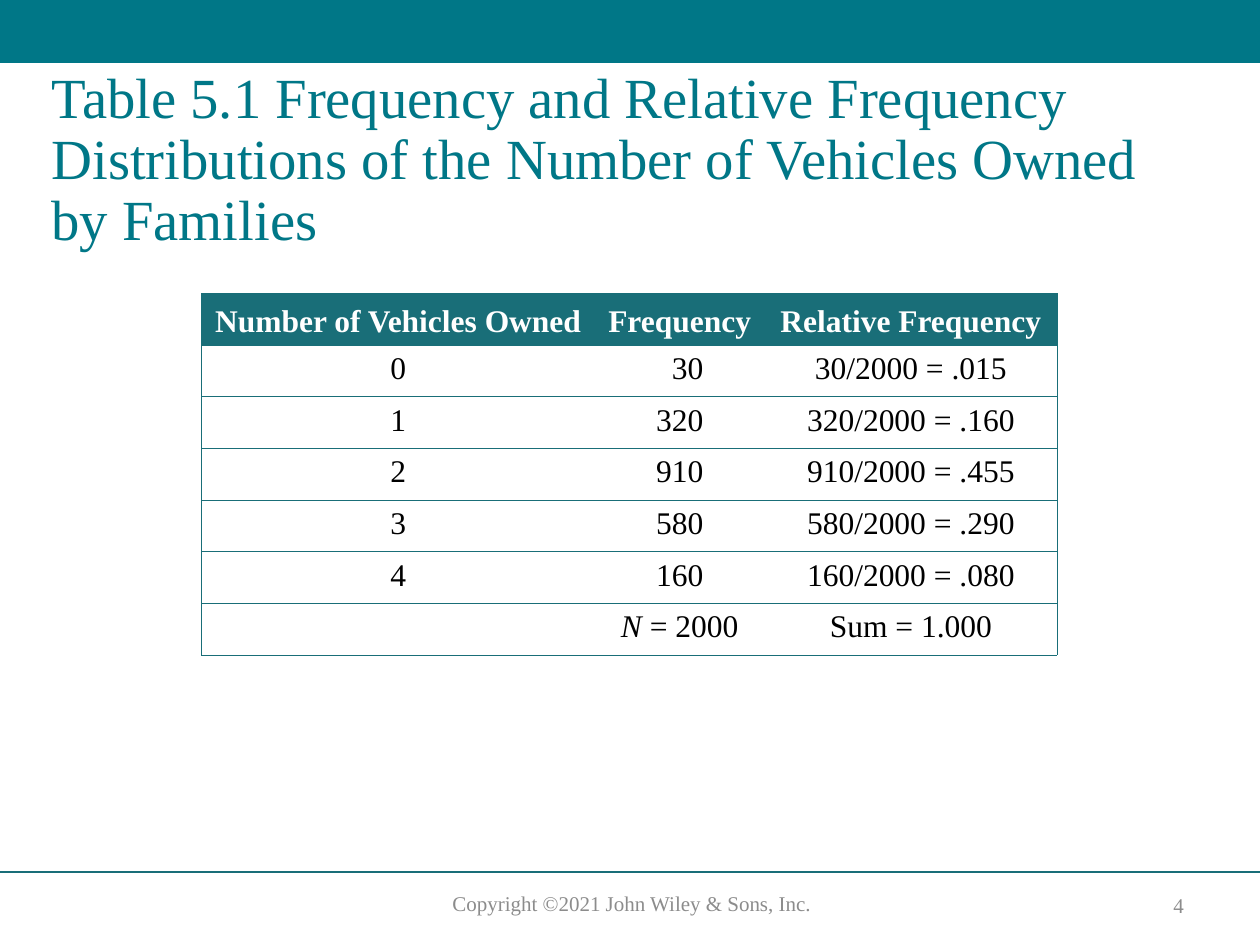
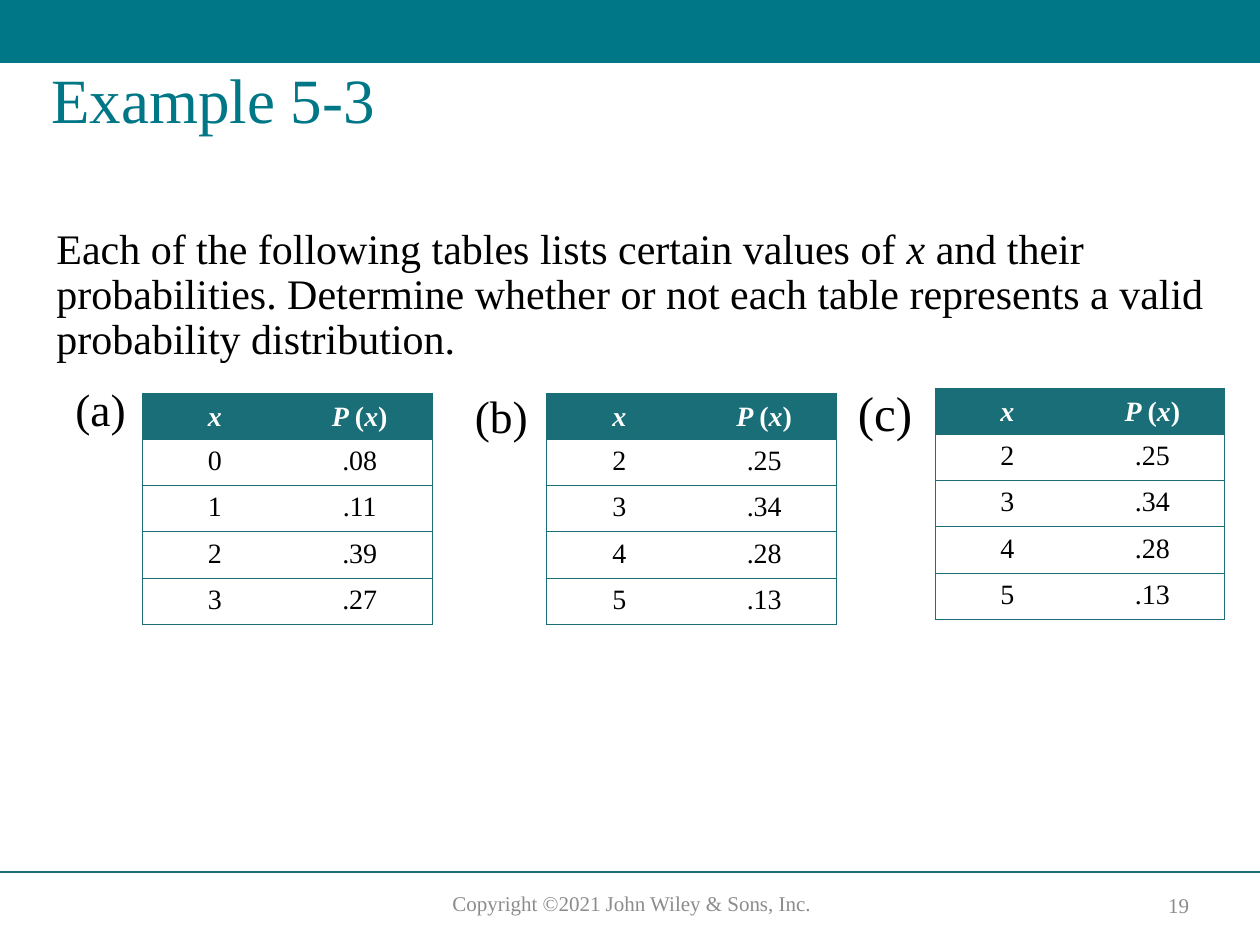
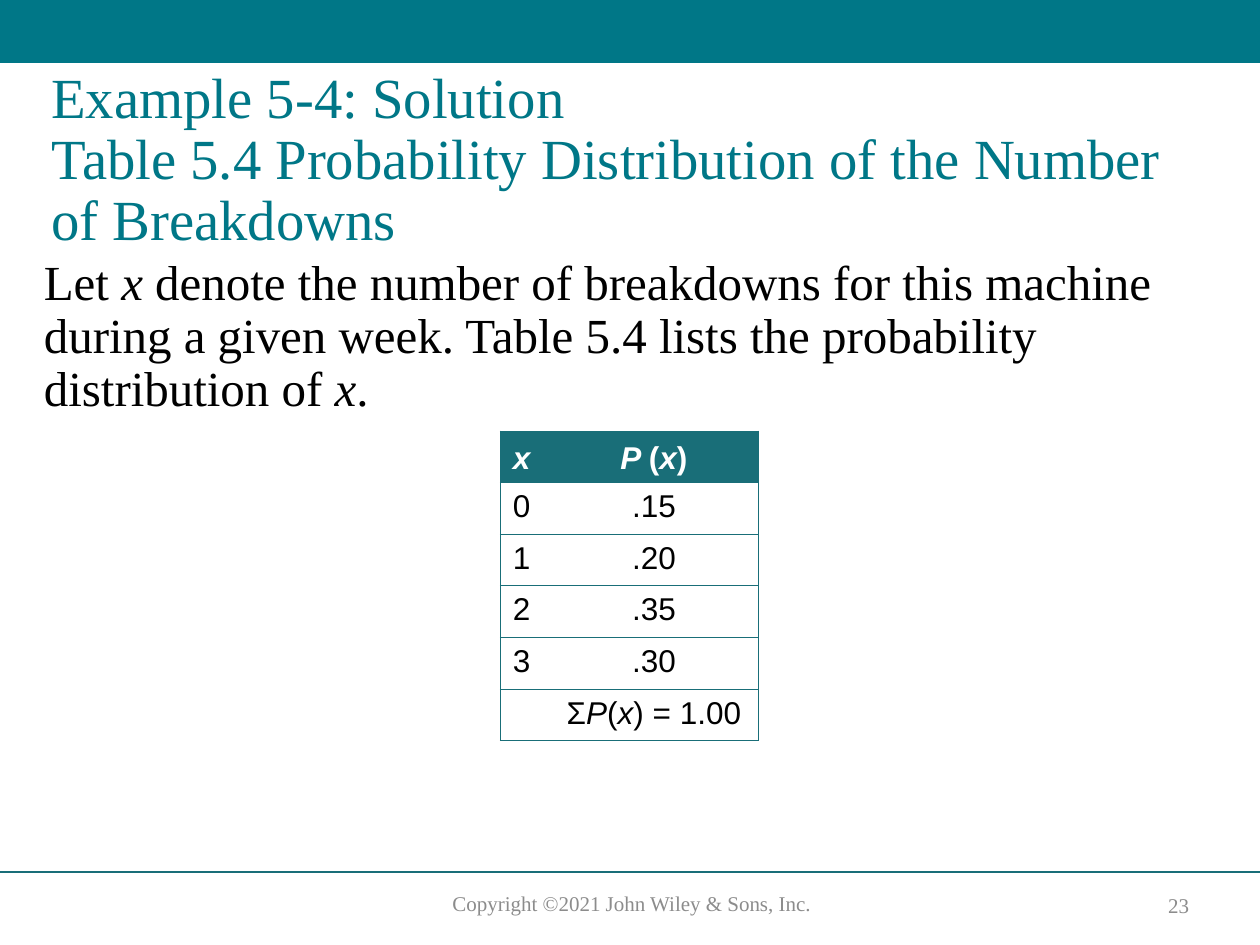
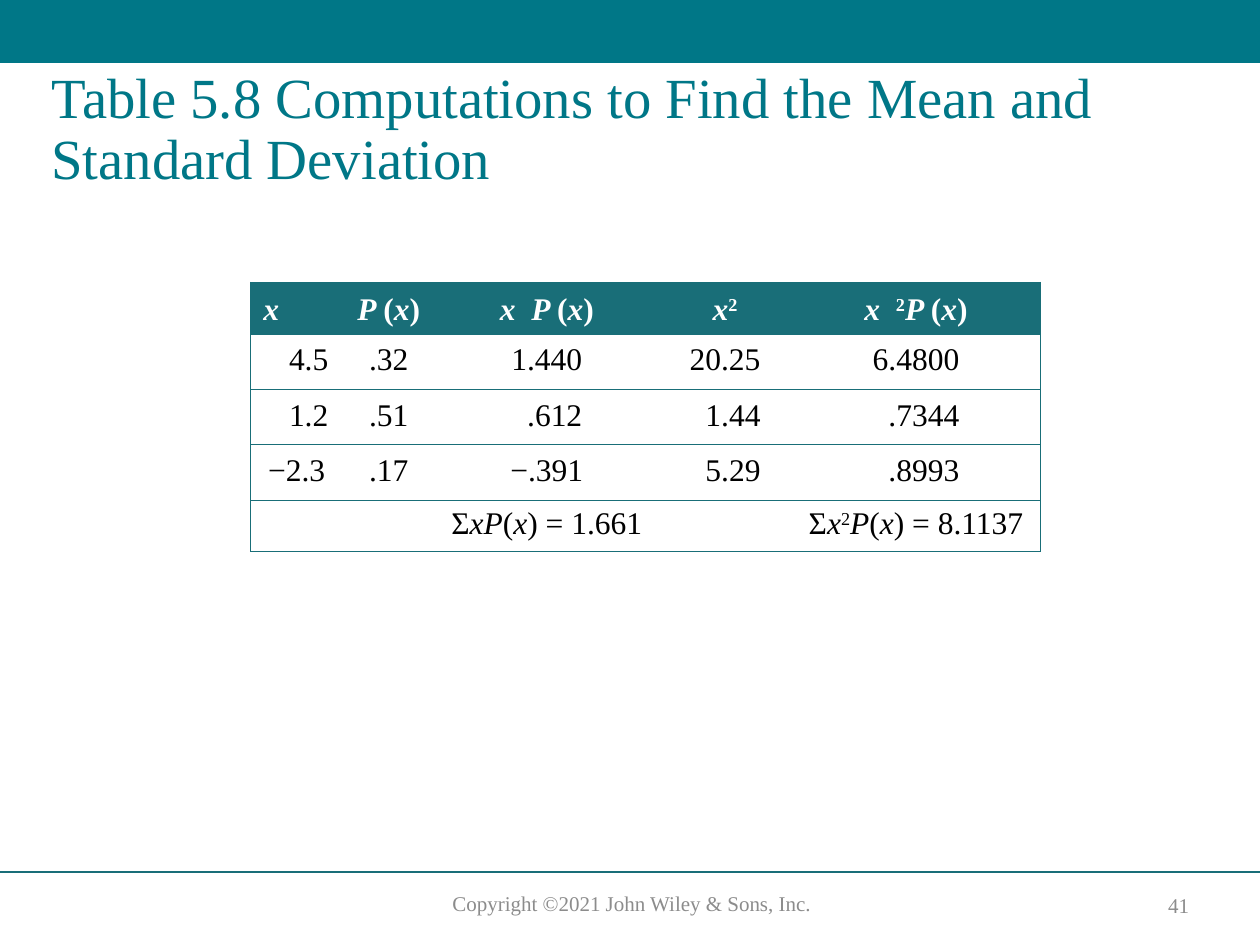
from dataclasses import dataclass

import pptx
import pptx.dml.color
import pptx.enum.shapes
import pptx.enum.text
import pptx.oxml
import pptx.oxml.ns
import pptx.util
from pptx.util import Inches

ALIGN = pptx.enum.text.PP_ALIGN
ANCHOR = pptx.enum.text.MSO_ANCHOR


@dataclass(frozen=True)
class Theme:
    teal: str = "007787"
    deep: str = "196E78"
    gray: str = "8C8C8C"
    black: str = "000000"
    white: str = "FFFFFF"
    serif: str = "Times New Roman"
    sans: str = "Arial"
    title: float = 32.4
    large: float = 36
    body: float = 28
    text: float = 24
    label: float = 26
    cell: float = 18
    small: float = 16
    foot: float = 12
    tight: float = 0.9
    rule: float = 1
    edge: float = 0.5


THEME = Theme()


@dataclass(frozen=True)
class Style:
    size: float
    color: str = THEME.black
    font: str = THEME.serif
    bold: bool = False
    align: ALIGN = ALIGN.LEFT
    space: float = 1.0


@dataclass(frozen=True)
class Box:
    left: float
    top: float
    width: float
    height: float


@dataclass(frozen=True)
class Grid:
    """A table: cells in rows, with the columns set flush left and the
    extra left margin of single cells keyed by (row, column)."""
    left: float
    top: float
    cols: tuple[float, ...]
    rows: tuple[tuple[str, ...], ...]
    height: float = 0.41
    size: float = THEME.cell
    font: str = THEME.serif
    flush: tuple[tuple[int, int], ...] = ()
    pads: tuple[tuple[int, int, float], ...] = ()
    inset: float = 0.05


@dataclass(frozen=True)
class Part:
    """One lettered question with its table of x and P(x)."""
    name: str
    spot: Box
    size: float
    space: float
    left: float
    top: float
    pairs: tuple[tuple[str, str], ...]


def tint(code: str) -> pptx.dml.color.RGBColor:
    return pptx.dml.color.RGBColor.from_string(code)


def write(para, text: str, style: Style) -> None:
    """Fill a paragraph; *…* marks italic and ^…^ superscript."""
    para.alignment = style.align
    para.line_spacing = style.space
    for row, line in enumerate(text.split("\n")):
        if row:
            para.add_line_break()
        for i, chunk in enumerate(line.split("*")):
            for j, piece in enumerate(chunk.split("^")):
                if not piece:
                    continue
                run = para.add_run()
                run.text = piece
                font = run.font
                font.name, font.size = style.font, pptx.util.Pt(style.size)
                font.bold, font.italic = style.bold, i % 2 == 1
                font.color.rgb = tint(style.color)
                if j % 2:
                    run._r.get_or_add_rPr().set("baseline", "30000")


def put(slide, box: Box, text: str, style: Style,
        anchor: ANCHOR = ANCHOR.TOP, wrap: bool = True) -> None:
    shape = slide.shapes.add_textbox(Inches(box.left), Inches(box.top),
                                     Inches(box.width), Inches(box.height))
    frame = shape.text_frame
    frame.word_wrap = wrap
    frame.vertical_anchor = anchor
    write(frame.paragraphs[0], text, style)


def border(cell, first: bool, last: bool) -> None:
    """Rule a cell above and below, and at the table's outer sides."""
    props = cell._tc.get_or_add_tcPr()
    width = pptx.util.Pt(THEME.edge)
    space = pptx.oxml.ns.nsdecls("a")
    for side, shown in (("L", first), ("R", last), ("T", True), ("B", True)):
        paint = (f'<a:solidFill><a:srgbClr val="{THEME.deep}"/></a:solidFill>'
                 if shown else "<a:noFill/>")
        props.append(pptx.oxml.parse_xml(
            f'<a:ln{side} {space} w="{width}">{paint}</a:ln{side}>'))


def draw(slide, grid: Grid) -> None:
    count = len(grid.rows)
    frame = slide.shapes.add_table(
        count, len(grid.cols), Inches(grid.left), Inches(grid.top),
        Inches(sum(grid.cols)), Inches(grid.height * count))
    table = frame.table
    table.horz_banding = False
    for col, width in zip(table.columns, grid.cols):
        col.width = Inches(width)
    pads = {(r, c): pad for r, c, pad in grid.pads}
    for r, row in enumerate(grid.rows):
        table.rows[r].height = Inches(grid.height)
        head = r == 0
        inner = 0 < r < count - 1
        for c, text in enumerate(row):
            cell = table.cell(r, c)
            border(cell, c == 0, c == len(row) - 1)
            if head:
                cell.fill.solid()
                cell.fill.fore_color.rgb = tint(THEME.deep)
            else:
                cell.fill.background()
            cell.vertical_anchor = ANCHOR.BOTTOM if head else ANCHOR.TOP
            cell.margin_left = Inches(0.1 + pads.get((r, c), 0))
            gap = grid.inset if inner else 0.05
            cell.margin_top = cell.margin_bottom = Inches(gap)
            align = ALIGN.LEFT if (r, c) in grid.flush else ALIGN.CENTER
            color = THEME.white if head else THEME.black
            write(cell.text_frame.paragraphs[0], text,
                  Style(grid.size, color, grid.font, head, align))


def start(deck, page: int, title: str, size: float = THEME.title):
    """Add a slide with its band, footer, page number and title."""
    slide = deck.slides.add_slide(deck.slide_layouts[6])
    shapes = slide.shapes
    band = shapes.add_shape(pptx.enum.shapes.MSO_SHAPE.RECTANGLE, 0, 0,
                            deck.slide_width, Inches(0.5))
    band.shadow.inherit = False
    band.fill.solid()
    band.fill.fore_color.rgb = tint(THEME.teal)
    band.line.fill.background()

    level = Inches(6.92)
    rule = shapes.add_connector(pptx.enum.shapes.MSO_CONNECTOR.STRAIGHT,
                                0, level, deck.slide_width, level)
    rule.line.color.rgb = tint(THEME.deep)
    rule.line.width = pptx.util.Pt(THEME.rule)
    rule._element.spPr.append(pptx.oxml.parse_xml(
        f'<a:effectLst {pptx.oxml.ns.nsdecls("a")}/>'))

    foot = Style(THEME.foot, THEME.gray, align=ALIGN.CENTER)
    put(slide, Box(3.22, 7.02, 3.59, 0.3),
        "Copyright ©2021 John Wiley & Sons, Inc.", foot)
    put(slide, Box(9.05, 7.04, 0.61, 0.28), str(page), foot, ANCHOR.MIDDLE)
    put(slide, Box(0.31, 0.5, 9.33, 1.25), title,
        Style(size, THEME.teal, space=THEME.tight))
    return slide


# The gaps inside these formulas are hair spaces.
HEAD = ("*x*", "*P *(*x*)")
LATER = (("2", ".25"), ("3", ".34"), ("4", ".28"), ("5", ".13"))
PARTS = (
    Part("(a)", Box(0.5, 3.02, 0.63, 0.58), THEME.label, THEME.tight,
         1.13, 3.12, (("0", ".08"), ("1", ".11"), ("2", ".39"), ("3", ".27"))),
    Part("(b)", Box(3.67, 3.03, 0.67, 0.63), THEME.label, 1.0,
         4.34, 3.12, LATER),
    Part("(c)", Box(6.71, 3.04, 0.63, 0.62), THEME.body, THEME.tight,
         7.42, 3.08, LATER),
)
OWNED = (30, 320, 910, 580, 160)
DIGIT = 0.125  # width of one digit at the cell size


def vehicles(deck) -> None:
    slide = start(deck, 4, "Table 5.1 Frequency and Relative Frequency "
                  "Distributions of the Number of Vehicles Owned by Families")
    total = sum(OWNED)
    shares = tuple(
        (str(n), str(count), f"{count}/{total} = " + f"{count / total:.3f}"[1:])
        for n, count in enumerate(OWNED))
    draw(slide, Grid(
        1.6, 2.33, (3.12, 1.35, 2.32),
        (("Number of Vehicles Owned", "Frequency", "Relative Frequency"),
         *shares, ("", f"*N* = {total}", "Sum = 1.000")),
        pads=((1, 1, DIGIT),)))


def valid(deck) -> None:
    slide = start(deck, 19, "Example 5-3", THEME.large)
    put(slide, Box(0.35, 1.76, 9.33, 1.24),
        "Each of the following tables lists certain values of *x* and their "
        "probabilities. Determine whether or not each table represents a "
        "valid probability distribution.",
        Style(THEME.text, space=THEME.tight))
    for part in PARTS:
        put(slide, part.spot, part.name, Style(part.size, space=part.space),
            wrap=False)
        draw(slide, Grid(part.left, part.top, (1.15, 1.15),
                         (HEAD, *part.pairs), 0.35, THEME.small))


def machine(deck) -> None:
    slide = start(deck, 23, "Example 5-4: Solution\nTable 5.4 Probability "
                  "Distribution of the Number of Breakdowns")
    put(slide, Box(0.25, 2, 9.33, 1.42),
        "Let *x* denote the number of breakdowns for this machine during a "
        "given week. Table 5.4 lists the probability distribution of *x*.",
        Style(THEME.body, space=THEME.tight))
    rows = (HEAD, ("0", ".15"), ("1", ".20"), ("2", ".35"), ("3", ".30"),
            ("", "Σ*P*(*x*) = 1.00"))
    draw(slide, Grid(3.97, 3.42, (0.39, 1.66), rows, font=THEME.sans,
                     flush=tuple((r, 0) for r in range(len(rows)))))


def spread(deck) -> None:
    slide = start(deck, 41, "Table 5.8 Computations to Find the Mean and "
                  "Standard Deviation")
    draw(slide, Grid(
        1.99, 2.24, (0.73, 0.73, 1.78, 1.05, 1.98),
        ((*HEAD, "*x  P *(*x*)", "*x*^2^", "*x  *^2^*P *(*x*)"),
         ("4.5", ".32", "1.440", "20.25", "6.4800"),
         ("1.2", ".51", ".612", "1.44", ".7344"),
         ("−2.3", ".17", "−.391", "5.29", ".8993"),
         ("", "", "Σ*xP*(*x*) = 1.661", "", "Σ*x*^2^*P*(*x*) = 8.1137")),
        flush=((0, 0),), inset=0.07,
        pads=((1, 0, 0.19), (2, 0, 0.19), (2, 2, DIGIT), (2, 3, DIGIT),
              (2, 4, DIGIT), (3, 3, DIGIT), (3, 4, DIGIT))))


def main() -> None:
    deck = pptx.Presentation()
    deck.slide_width, deck.slide_height = Inches(10), Inches(7.5)
    for build in (vehicles, valid, machine, spread):
        build(deck)
    deck.save("out.pptx")


if __name__ == "__main__":
    main()
